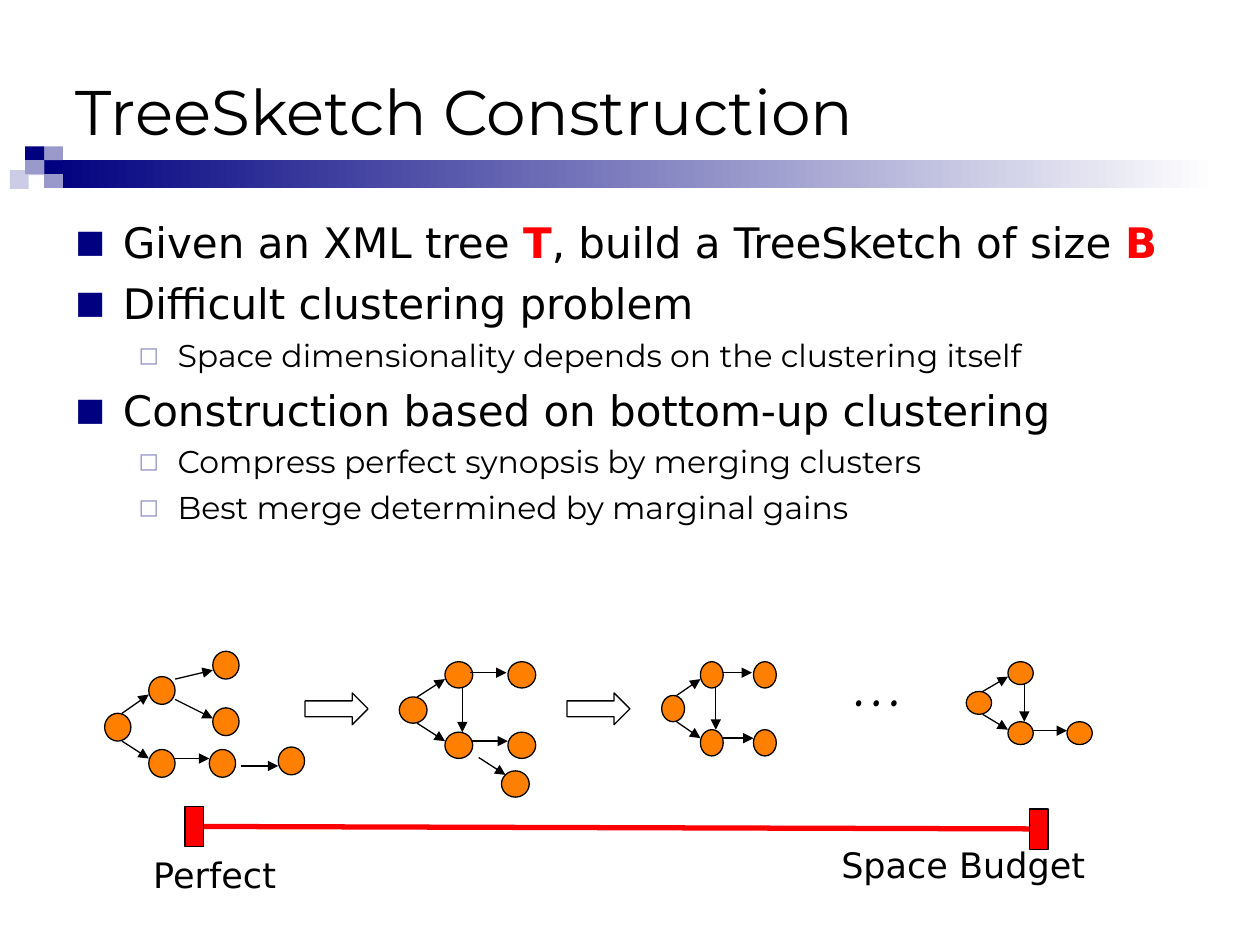
from lxml.etree import SubElement as Sub
from pptx import Presentation
from pptx.dml.color import RGBColor as RGB
from pptx.enum.shapes import MSO_CONNECTOR as Link, MSO_SHAPE as Kind
from pptx.enum.text import MSO_ANCHOR as Anchor, MSO_AUTO_SIZE as Fit, PP_ALIGN as Align
from pptx.oxml.ns import qn
from pptx.util import Cm, Pt

BLACK = RGB(0, 0, 0)
WHITE = RGB(255, 255, 255)
NAVY = RGB(0, 0, 128)
LILAC = RGB(0x99, 0x99, 0xCC)
PALE = RGB(0xCC, 0xCC, 0xE6)
RED = RGB(255, 0, 0)
ORANGE = RGB(255, 128, 0)
SANS, MONT, COMIC = "DejaVu Sans", "Montserrat", "Comic Neue"

# Header squares: left, top, width, height, colour
TILES = [
    (0.51, 3.25, 0.38, 0.28, PALE),
    (0.89, 2.95, 0.38, 0.28, LILAC),
    (0.51, 2.95, 0.38, 0.28, NAVY),
    (0.89, 3.51, 0.38, 0.28, LILAC),
    (0.2, 3.43, 0.38, 0.38, PALE),
    (0.51, 3.23, 0.38, 0.28, LILAC),
]

# Body lines: level and runs, where True marks a key symbol
BODY = [
    (0, [("Given an XML tree ", False), ("T", True),
         (", build a TreeSketch of size ", False), ("B", True)]),
    (0, [("Difficult clustering problem", False)]),
    (1, [("Space dimensionality depends on the clustering itself", False)]),
    (0, [("Construction based on bottom-up clustering", False)]),
    (1, [("Compress perfect synopsis by merging clusters", False)]),
    (1, [("Best merge determined by marginal gains", False)]),
]

# Per level: size, font, space before, margin, indent, bullet, its colour, its size
LEVELS = [
    (24, SANS, 6, 0.96, -0.96, "■", NAVY, 75),
    (18, MONT, 4.5, 2.06, -0.79, "◻", LILAC, 80),
]

# Graphs: node size, node corners, edges as x1, y1, x2, y2
GRAPHS = [
    ((0.53, 0.56),
     [(2.11, 14.38), (3, 15.11), (3, 13.64), (4.22, 15.11),
      (4.29, 14.27), (5.61, 15.06), (4.29, 13.13)],
     [(2.46, 14.94, 3, 15.29), (2.46, 14.38, 3, 14),
      (3.53, 15.29, 4.22, 15.29), (4.85, 15.44, 5.61, 15.44),
      (3.53, 14.1, 4.29, 14.48), (3.53, 13.69, 4.29, 13.51)]),
    ((0.56, 0.53),
     [(8.05, 14.05), (8.97, 14.76), (8.97, 13.34),
      (10.24, 14.76), (10.24, 13.34), (10.11, 15.54)],
     [(8.41, 14.58, 8.97, 14.94), (8.41, 14.05, 8.97, 13.69),
      (9.5, 14.94, 10.24, 14.94), (9.32, 13.87, 9.32, 14.76),
      (9.47, 13.56, 10.21, 13.56), (9.65, 15.27, 10.19, 15.62)]),
    ((0.46, 0.53),
     [(13.34, 14.02), (14.12, 14.71), (14.12, 13.34),
      (15.19, 14.71), (15.19, 13.34)],
     [(13.64, 14.55, 14.12, 14.88), (13.64, 14.02, 14.12, 13.69),
      (14.58, 14.88, 15.19, 14.88), (14.43, 13.87, 14.43, 14.71),
      (14.55, 13.56, 15.16, 13.56)]),
    ((0.51, 0.46),
     [(19.48, 13.94), (20.32, 14.55), (20.32, 13.34), (21.51, 14.55)],
     [(19.81, 14.4, 20.32, 14.71), (19.81, 13.94, 20.32, 13.64),
      (20.83, 14.73, 21.51, 14.73), (20.65, 13.79, 20.65, 14.55)]),
]


def write(para, text, size=20, font=SANS, color=BLACK, bold=False, align=Align.LEFT):
    para.alignment = align
    run = para.add_run()
    run.text = text
    run.font.size, run.font.name, run.font.bold = Pt(size), font, bold
    run.font.color.rgb = color


def shape(home, kind, x, y, w, h, fill=None, line=None):
    item = home.add_shape(kind, Cm(x), Cm(y), Cm(w), Cm(h))
    item.shadow.inherit = False
    if fill is None:
        item.fill.background()
    else:
        item.fill.solid()
        item.fill.fore_color.rgb = fill
    if line is None:
        item.line.fill.background()
    else:
        item.line.color.rgb, item.line.width = line, Pt(0.75)
    return item


def line(home, x1, y1, x2, y2, color=BLACK, width=0.75, head=True):
    item = home.add_connector(Link.STRAIGHT, Cm(x1), Cm(y1), Cm(x2), Cm(y2))
    item.line.color.rgb, item.line.width = color, Pt(width)
    if head:
        Sub(item.line._get_or_add_ln(), qn("a:tailEnd"), type="triangle")
    Sub(item._element.spPr, qn("a:effectLst"))


def box(home, x, y, w, h, wrap=True):
    frame = home.add_textbox(Cm(x), Cm(y), Cm(w), Cm(h)).text_frame
    frame.word_wrap = wrap
    return frame


def bullet(para, margin, indent, char, color, size):
    props = para._p.get_or_add_pPr()
    props.set("marL", str(Cm(margin)))
    props.set("indent", str(Cm(indent)))
    Sub(Sub(props, qn("a:buClr")), qn("a:srgbClr"), val=str(color))
    Sub(props, qn("a:buSzPct"), val=str(size * 1000))
    Sub(props, qn("a:buFont"), typeface=SANS)
    Sub(props, qn("a:buChar"), char=char)


def header(slide):
    bar = shape(slide.shapes, Kind.RECTANGLE, 0.89, 3.23, 23.65, 0.56, NAVY)
    bar.fill.gradient()
    bar.fill.gradient_angle = 0
    for stop, color in zip(bar.fill.gradient_stops, (NAVY, WHITE)):
        stop.color.rgb = color
    for *place, color in TILES:
        shape(slide.shapes, Kind.RECTANGLE, *place, color)

    title = slide.shapes.title
    title.left, title.top = Cm(1.27), Cm(0.64)
    title.width, title.height = Cm(22.86), Cm(3.18)
    frame = title.text_frame
    frame.auto_size, frame.vertical_anchor = Fit.NONE, Anchor.MIDDLE
    write(frame.paragraphs[0], "TreeSketch Construction", size=36, font=MONT)


def body(home):
    frame = box(home, 1.27, 4.24, 22.86, 12.5)
    for i, (level, runs) in enumerate(BODY):
        size, font, space, *mark = LEVELS[level]
        para = frame.add_paragraph() if i else frame.paragraphs[0]
        para.level = level
        bullet(para, *mark)
        if i:
            para.space_before = Pt(space)
        for text, key in runs:
            write(para, text, size=size, font=font,
                  color=RED if key else BLACK, bold=key)


def graph(home, size, nodes, edges):
    group = home.add_group_shape().shapes
    for node in nodes:
        shape(group, Kind.OVAL, *node, *size, ORANGE, BLACK)
    for edge in edges:
        line(group, *edge)


def main():
    deck = Presentation()
    deck.slide_width, deck.slide_height = Cm(25.4), Cm(19.05)
    slide = deck.slides.add_slide(deck.slide_layouts[5])
    home = slide.shapes
    header(slide)
    body(home)

    # Scale from the perfect synopsis to the budget
    line(home, 3.94, 16.66, 20.96, 16.71, RED, 3, head=False)
    for x, y in ((3.73, 16.26), (20.75, 16.31)):
        shape(home, Kind.RECTANGLE, x, y, 0.38, 0.81, RED, BLACK)
    write(box(home, 2.84, 17.09, 3.05, 1.12, wrap=False).paragraphs[0], "Perfect")
    write(box(home, 16.71, 16.87, 6.99, 1.12).paragraphs[0], "Space Budget")

    # Merge steps
    for part in GRAPHS:
        graph(home, *part)
    for x in (6.15, 11.43):
        shape(home, Kind.RIGHT_ARROW, x, 13.97, 1.27, 0.64, line=BLACK)
    write(box(home, 16.94, 12.7, 1.45, 1.96, wrap=False).paragraphs[0], "…",
          size=40, font=COMIC, align=Align.CENTER)
    deck.save("out.pptx")


if __name__ == "__main__":
    main()
